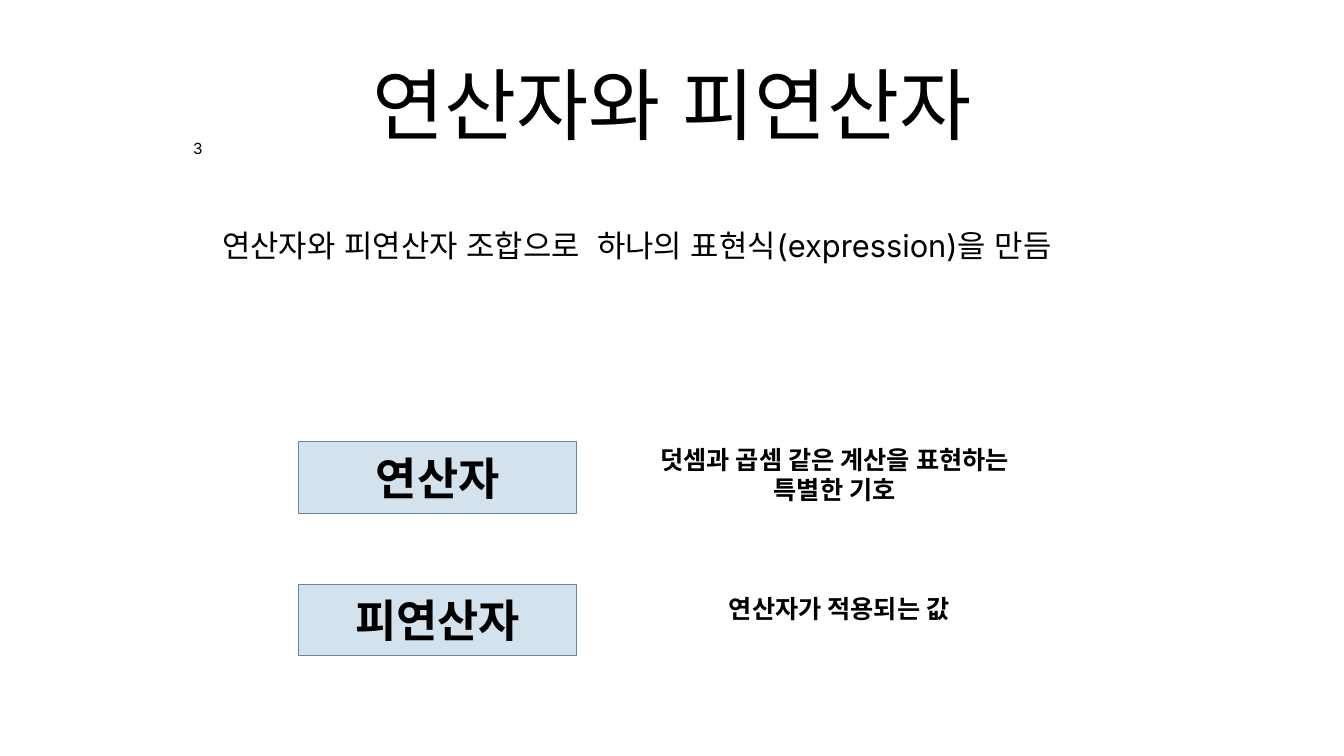
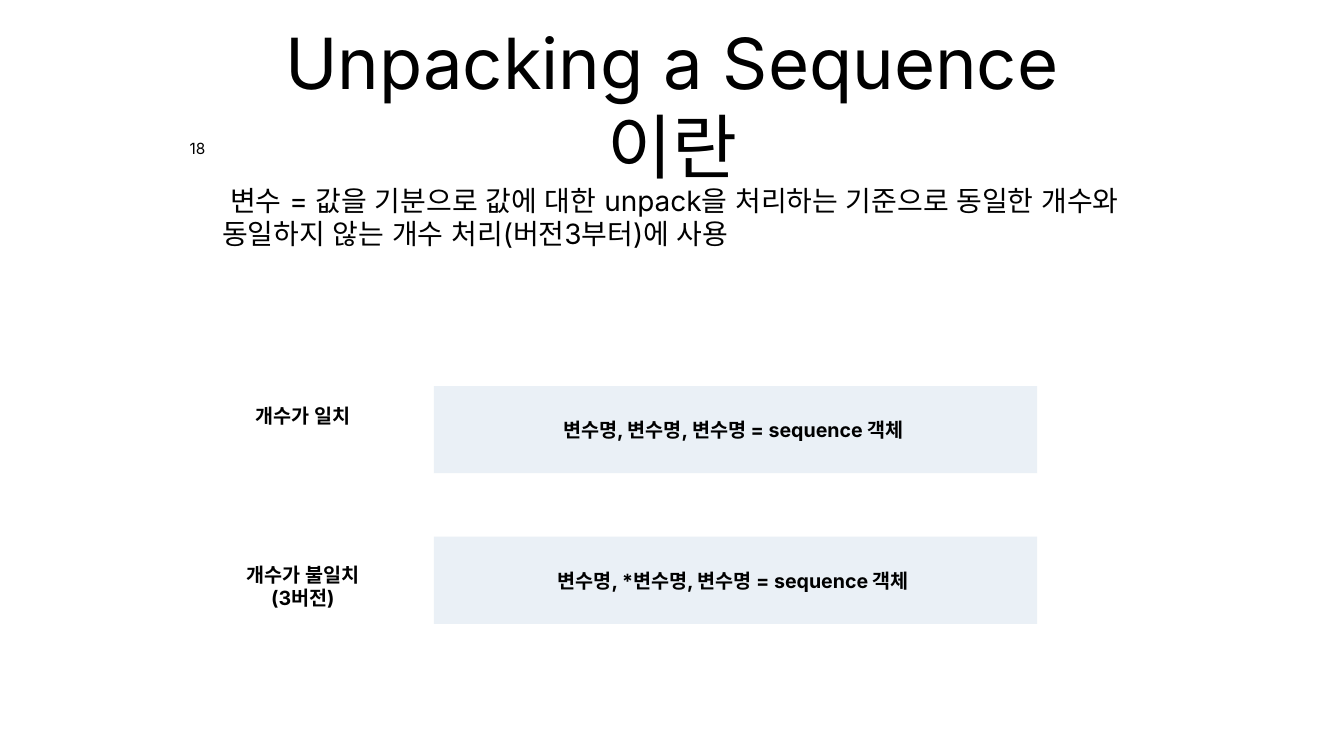
from dataclasses import dataclass
from typing import Any, Optional

from lxml.etree import SubElement
from pptx import Presentation
from pptx.dml.color import RGBColor
from pptx.enum.shapes import MSO_SHAPE
from pptx.enum.text import MSO_ANCHOR, PP_ALIGN
from pptx.oxml.ns import qn
from pptx.shapes.base import BaseShape
from pptx.slide import Slide
from pptx.util import Cm, Pt


# Colours, fonts and type sizes
@dataclass(frozen=True)
class Theme:
    ink: RGBColor = RGBColor(0x00, 0x00, 0x00)
    term_fill: RGBColor = RGBColor(0xD4, 0xE2, 0xED)
    term_line: RGBColor = RGBColor(0x6C, 0x85, 0x99)
    code_fill: RGBColor = RGBColor(0xEA, 0xF0, 0xF6)
    main_font: str = "Inter"
    korean_font: str = "Noto Sans CJK KR"
    title_size: float = 112
    long_title_size: float = 100.8
    lead_size: float = 44
    long_lead_size: float = 40
    term_size: float = 64
    meaning_size: float = 36
    code_size: float = 28
    number_size: float = 22


THEME = Theme()


@dataclass(frozen=True)
class Box:
    """Place and size in centimetres."""
    left: float
    top: float
    width: float
    height: float


@dataclass(frozen=True)
class TextStyle:
    size: float
    font: str = THEME.main_font
    bold: bool = False
    align: PP_ALIGN = PP_ALIGN.CENTER
    anchor: MSO_ANCHOR = MSO_ANCHOR.TOP
    side_inset: float = 0.2
    end_inset: float = 0.2
    space_before: float = 0
    line_spacing: float = 1.0
    wrap: bool = True


@dataclass(frozen=True)
class Panel:
    """A filled rectangle with a centred text."""
    box: Box
    text: str
    fill: RGBColor
    style: TextStyle
    line: Optional[RGBColor] = None


@dataclass(frozen=True)
class Note:
    """A plain text beside a panel."""
    box: Box
    text: str
    style: TextStyle


TITLE_BOX = Box(12.19, 0.99, 43.36, 8.43)
LEAD_LEFT, LEAD_TOP, LEAD_WIDTH = 11, 9.04, 45.72
NUMBER_CENTRE, NUMBER_TOP, NUMBER_HEIGHT = 9.95, 6.99, 1.14

NUMBER_STYLE = TextStyle(THEME.number_size, line_spacing=0.8, wrap=False)
TERM_STYLE = TextStyle(THEME.term_size, THEME.korean_font, True,
                       anchor=MSO_ANCHOR.MIDDLE, side_inset=0.25, end_inset=0.25)
MEANING_STYLE = TextStyle(THEME.meaning_size, THEME.korean_font, True,
                          side_inset=0.25, end_inset=0.13)
CODE_STYLE = TextStyle(THEME.code_size, bold=True, anchor=MSO_ANCHOR.MIDDLE,
                       side_inset=0.25, end_inset=0.25)
CASE_STYLE = TextStyle(THEME.code_size, bold=True, side_inset=0.25, end_inset=0.13)


def set_values(target: Any, values: dict[str, Any]) -> None:
    for name, value in values.items():
        setattr(target, name, value)


def write_text(shape: BaseShape, text: str, style: TextStyle) -> None:
    frame = shape.text_frame
    set_values(frame, {
        "word_wrap": style.wrap,
        "vertical_anchor": style.anchor,
        "margin_left": Cm(style.side_inset),
        "margin_right": Cm(style.side_inset),
        "margin_top": Cm(style.end_inset),
        "margin_bottom": Cm(style.end_inset),
        "text": text,
    })
    for paragraph in frame.paragraphs:
        set_values(paragraph, {
            "alignment": style.align,
            "space_before": Pt(style.space_before),
            "line_spacing": style.line_spacing,
        })
        for run in paragraph.runs:
            set_values(run.font, {
                "name": style.font,
                "size": Pt(style.size),
                "bold": style.bold,
            })
            run.font.color.rgb = THEME.ink
            # Korean letters take their line height from the main font
            SubElement(run.font._element, qn("a:ea"), typeface=THEME.main_font)


def lengths(box: Box) -> tuple[Cm, Cm, Cm, Cm]:
    return Cm(box.left), Cm(box.top), Cm(box.width), Cm(box.height)


def add_text(slide: Slide, box: Box, text: str, style: TextStyle) -> None:
    write_text(slide.shapes.add_textbox(*lengths(box)), text, style)


def add_panel(slide: Slide, panel: Panel) -> None:
    shape = slide.shapes.add_shape(MSO_SHAPE.RECTANGLE, *lengths(panel.box))
    shape.shadow.inherit = False
    shape.fill.solid()
    shape.fill.fore_color.rgb = panel.fill
    if panel.line is None:
        shape.line.fill.background()
    else:
        shape.line.color.rgb = panel.line
        shape.line.width = Pt(1.5)
    write_text(shape, panel.text, panel.style)


def add_topic_slide(title: str, title_size: float, lead: str, lead_height: float,
                    lead_style: TextStyle, number: str, number_width: float,
                    panels: list[Panel], notes: list[Note]) -> None:
    slide = presentation.slides.add_slide(presentation.slide_layouts[6])
    # Title and lead sentence
    add_text(slide, TITLE_BOX, title, TextStyle(title_size, anchor=MSO_ANCHOR.MIDDLE))
    add_text(slide, Box(LEAD_LEFT, LEAD_TOP, LEAD_WIDTH, lead_height), lead, lead_style)
    # Panels and the notes beside them
    for panel in panels:
        add_panel(slide, panel)
    for note in notes:
        add_text(slide, note.box, note.text, note.style)
    # Slide number
    number_box = Box(NUMBER_CENTRE - number_width / 2, NUMBER_TOP,
                     number_width, NUMBER_HEIGHT)
    add_text(slide, number_box, number, NUMBER_STYLE)


presentation = Presentation()
set_values(presentation, {"slide_width": Cm(67.73), "slide_height": Cm(38.1)})

# Operators and operands
add_topic_slide(
    "연산자와 피연산자", THEME.title_size,
    "연산자와 피연산자 조합으로  하나의 표현식(expression)을 만듬", 6.6,
    TextStyle(THEME.lead_size, align=PP_ALIGN.LEFT, anchor=MSO_ANCHOR.MIDDLE,
              space_before=59),
    "3", 0.84,
    [Panel(Box(15.06, 22.25 + 7.19 * row, 14, 3.61), term, THEME.term_fill,
           TERM_STYLE, THEME.term_line)
     for row, term in enumerate(["연산자", "피연산자"])],
    [Note(Box(32.66, 22.25, 18.8, 3.33), "덧셈과 곱셈 같은 계산을 표현하는 특별한 기호",
          MEANING_STYLE),
     Note(Box(32.89, 29.77, 18.8, 1.8), "연산자가 적용되는 값", MEANING_STYLE)],
)

# Unpacking a sequence
add_topic_slide(
    "Unpacking a Sequence 이란", THEME.long_title_size,
    " 변수 = 값을 기분으로 값에 대한 unpack을 처리하는 기준으로 동일한 개수와 "
    "동일하지 않는 개수 처리(버전3부터)에 사용 ", 8.41,
    TextStyle(THEME.long_lead_size, align=PP_ALIGN.LEFT, space_before=12),
    "18", 1.27,
    [Panel(Box(21.87, 19.46 + 7.59 * row, 30.4, 4.39), code, THEME.code_fill, CODE_STYLE)
     for row, code in enumerate(["변수명, 변수명, 변수명 = sequence 객체 ",
                                 "변수명, *변수명, 변수명 = sequence 객체 "])],
    [Note(Box(10.25, 20.24, 10.03, 1.45), "개수가 일치", CASE_STYLE),
     Note(Box(10.25, 28.22, 10.03, 2.64), "개수가 불일치\n(3버전)", CASE_STYLE)],
)

presentation.save("out.pptx")
